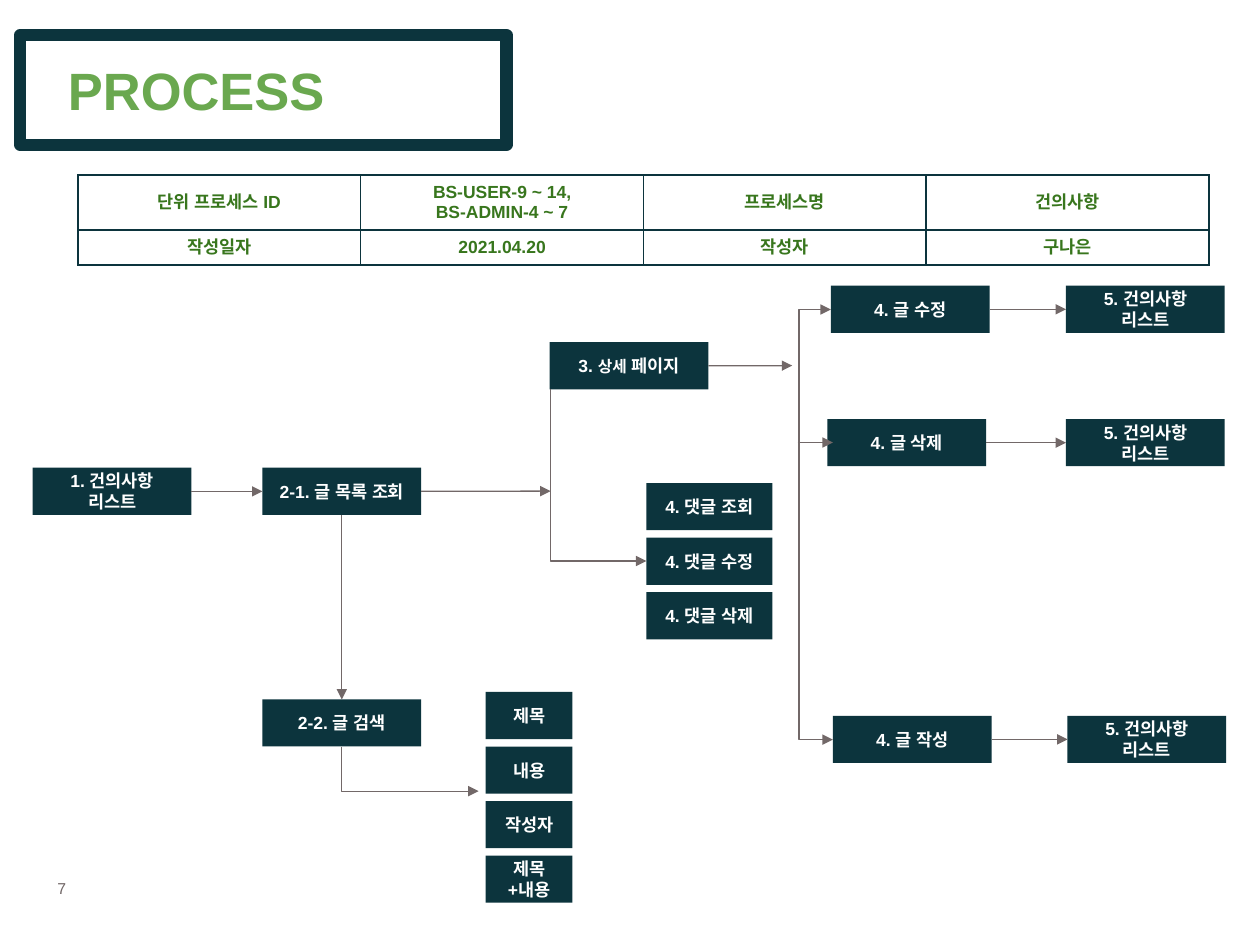
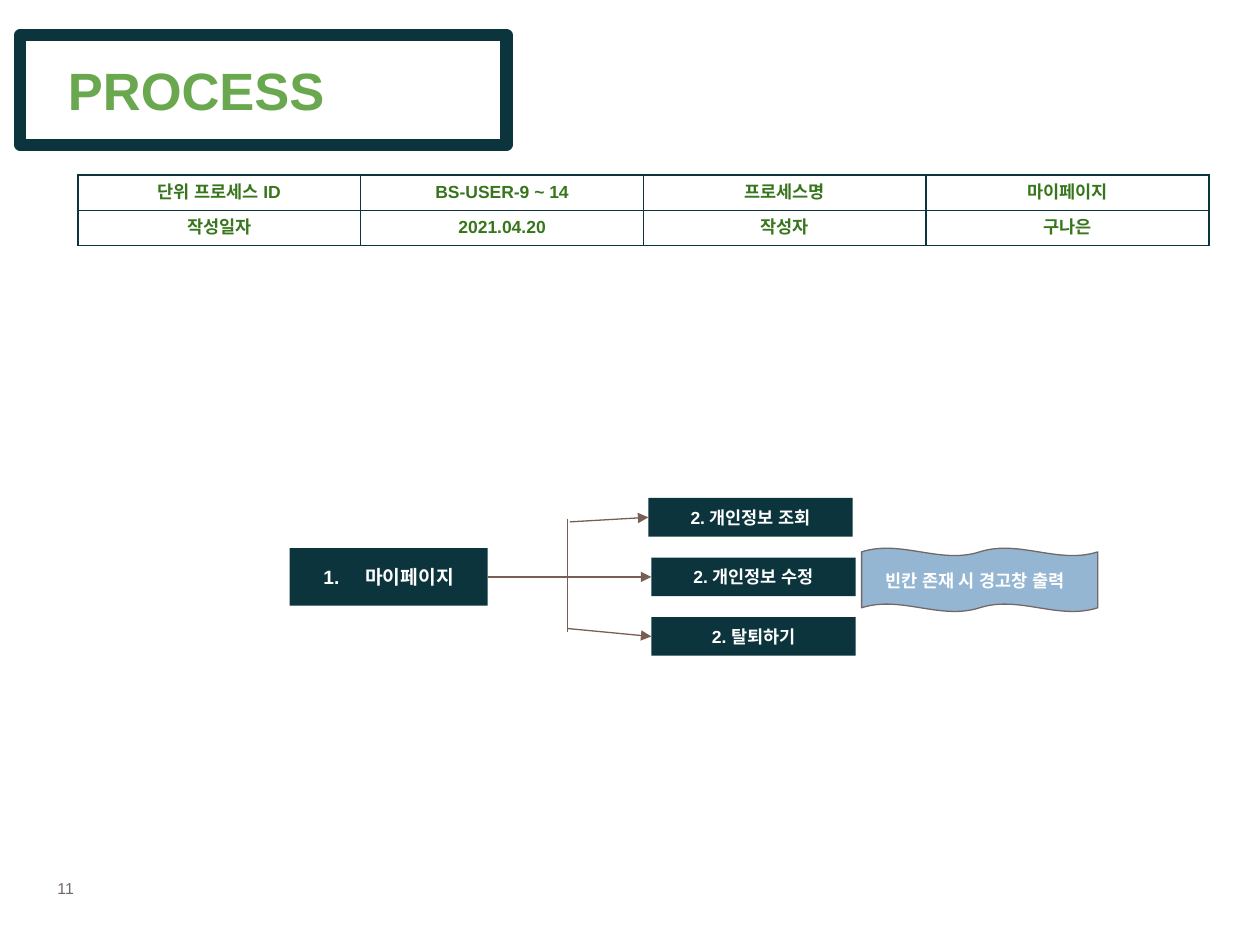
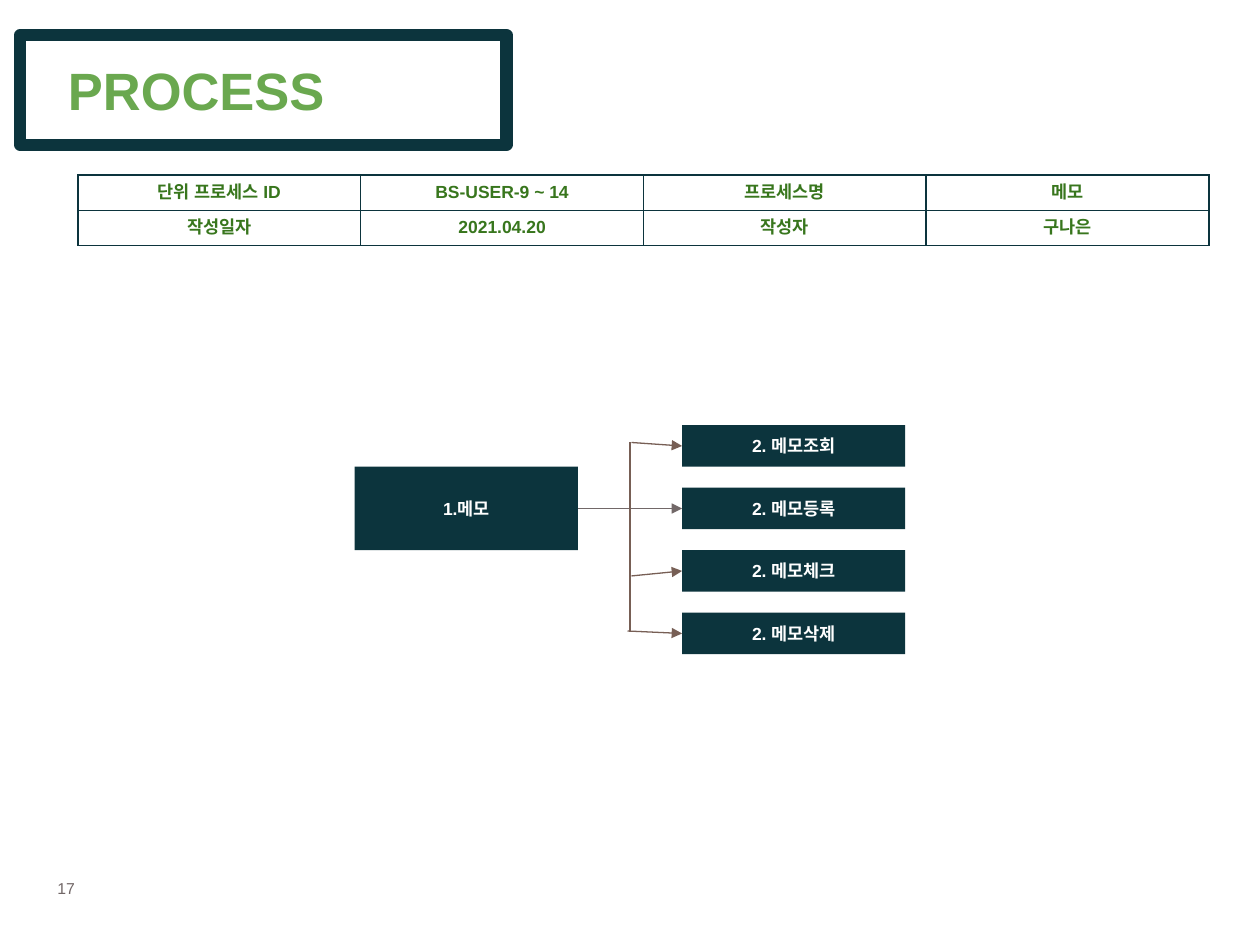
from dataclasses import dataclass
from typing import Optional, Union

from lxml import etree
from pptx import Presentation
from pptx import util as u
from pptx.dml.color import RGBColor
from pptx.enum import shapes, text
from pptx.oxml import ns

# Shared look
TEAL = RGBColor(0x0C, 0x34, 0x3D)
TITLE_GREEN = RGBColor(0x6A, 0xA8, 0x4F)
TABLE_GREEN = RGBColor(0x38, 0x76, 0x1D)
GRAY = RGBColor(0x72, 0x68, 0x68)
PAGE_GRAY = RGBColor(0x71, 0x67, 0x67)
BROWN = RGBColor(0x77, 0x5F, 0x55)
BLUE = RGBColor(0x94, 0xB6, 0xD2)
WHITE = RGBColor(0xFF, 0xFF, 0xFF)
FONT = "Arial"
CENTER = text.PP_ALIGN.CENTER
LEFT = text.PP_ALIGN.LEFT
MIDDLE = text.MSO_ANCHOR.MIDDLE
TOP_SIDE, LEFT_SIDE, BOTTOM_SIDE, RIGHT_SIDE = range(4)

STEP_W, STEP_H = 3.2, 0.95
Point = tuple[float, float]


@dataclass
class Style:
    size: float
    color: RGBColor
    bold: bool = True
    align: text.PP_ALIGN = CENTER


BOX_STYLE = Style(10, WHITE)
NOTE_STYLE = Style(10, WHITE, align=LEFT)
CELL_STYLE = Style(10, TABLE_GREEN)
TITLE_STYLE = Style(30, TITLE_GREEN, align=LEFT)
PAGE_STYLE = Style(9, PAGE_GRAY, bold=False, align=LEFT)
NUMBERED_STYLE = Style(11, WHITE, align=LEFT)


@dataclass
class Step:
    """A dark process box; lengths in centimetres."""
    key: str
    label: str
    x: float
    y: float
    w: float = STEP_W
    h: float = STEP_H
    small: str = ""  # part of the label set in 9 pt
    numbered: bool = False


@dataclass
class Link:
    """A straight line between boxes (by key) or free points."""
    start: Union[str, Point]
    end: Union[str, Point]
    color: RGBColor = GRAY
    sides: tuple[int, int] = (RIGHT_SIDE, LEFT_SIDE)
    arrow: bool = True


@dataclass
class Elbow:
    """Down then right, or a bracket on a vertical spine with two arrows."""
    start: Point
    end: Point
    spine: Optional[float] = None


@dataclass
class Page:
    number: str
    process_id: str
    name: str
    steps: list[Step]
    links: list[Link]


def write(tf, content: str, style: Style, small: str = "") -> None:
    tf.word_wrap = True
    for i, line in enumerate(content.split("\n")):
        p = tf.paragraphs[0] if i == 0 else tf.add_paragraph()
        p.alignment = style.align
        parts = line.partition(small) if small else (line,)
        for part in filter(None, parts):
            r = p.add_run()
            r.text = part
            size = 9 if part == small else style.size
            values = {"name": FONT, "size": u.Pt(size), "bold": style.bold}
            for attr, value in values.items():
                setattr(r.font, attr, value)
            r.font.color.rgb = style.color
            etree.SubElement(r._r.get_or_add_rPr(), ns.qn("a:ea"), typeface=FONT)


def number_list(p) -> None:
    pPr = p._p.get_or_add_pPr()
    pPr.set("marL", str(u.Cm(1.27)))
    pPr.set("indent", str(u.Cm(-0.84)))
    color = etree.SubElement(pPr, ns.qn("a:buClr"))
    etree.SubElement(color, ns.qn("a:srgbClr"), val=str(WHITE))
    etree.SubElement(pPr, ns.qn("a:buFont"), typeface=FONT)
    etree.SubElement(pPr, ns.qn("a:buAutoNum"), type="arabicPeriod")


def add_text(s, content: str, box: tuple, style: Style, anchor=None) -> None:
    tf = s.shapes.add_textbox(*map(u.Cm, box)).text_frame
    if anchor is not None:
        tf.vertical_anchor = anchor
    write(tf, content, style)


def add_step(s, step: Step):
    sp = s.shapes.add_shape(shapes.MSO_SHAPE.RECTANGLE,
                            *map(u.Cm, (step.x, step.y, step.w, step.h)))
    sp.shadow.inherit = False
    sp.fill.solid()
    sp.fill.fore_color.rgb = TEAL
    sp.line.fill.background()
    tf = sp.text_frame
    tf.vertical_anchor = MIDDLE
    if step.numbered:
        number_list(tf.paragraphs[0])
    write(tf, step.label, NUMBERED_STYLE if step.numbered else BOX_STYLE, step.small)
    return sp


def style_line(cx, color: RGBColor, ends: tuple[str, ...]) -> None:
    cx.line.color.rgb = color
    cx.line.width = u.Pt(0.75)
    ln = cx.line._get_or_add_ln()
    for end in ends:
        etree.SubElement(ln, ns.qn(f"a:{end}"), type="triangle")
    etree.SubElement(cx._element.spPr, ns.qn("a:effectLst"))


def add_link(s, link: Link, boxes: dict) -> None:
    points = [(0, 0) if isinstance(end, str) else end for end in (link.start, link.end)]
    cx = s.shapes.add_connector(shapes.MSO_CONNECTOR.STRAIGHT,
                                *(u.Cm(v) for point in points for v in point))
    joins = (cx.begin_connect, cx.end_connect)
    for end, join, side in zip((link.start, link.end), joins, link.sides):
        if isinstance(end, str):
            join(boxes[end], side)
    style_line(cx, link.color, ("tailEnd",) if link.arrow else ())


def add_elbow(s, elbow: Elbow) -> None:
    (x1, y1), (x2, y2) = elbow.start, elbow.end
    ends = (x1, y1, x2, y2)
    if elbow.spine is None:
        # The frame is turned a quarter, so width and height trade places
        mx, my = (x1 + x2) / 2, (y1 + y2) / 2
        dx, dy = (x2 - x1) / 2, (y2 - y1) / 2
        ends = (mx - dy, my - dx, mx + dy, my + dx)
    cx = s.shapes.add_connector(shapes.MSO_CONNECTOR.ELBOW, *map(u.Cm, ends))
    spPr = cx._element.spPr
    geom = spPr.find(ns.qn("a:prstGeom"))
    if elbow.spine is None:
        geom.set("prst", "bentConnector2")
        xfrm = spPr.find(ns.qn("a:xfrm"))
        xfrm.set("rot", str(270 * 60000))
        xfrm.set("flipH", "1")
        style_line(cx, GRAY, ("tailEnd",))
    else:
        bend = round((elbow.spine - x1) / (x2 - x1) * 100000)
        guides = geom.find(ns.qn("a:avLst"))
        if guides is None:
            guides = etree.SubElement(geom, ns.qn("a:avLst"))
        etree.SubElement(guides, ns.qn("a:gd"), name="adj1", fmla=f"val {bend}")
        style_line(cx, GRAY, ("headEnd", "tailEnd"))


def add_info_table(s, page: Page) -> None:
    rows = (("단위 프로세스 ID", page.process_id, "프로세스명", page.name),
            ("작성일자", "2021.04.20", "작성자", "구나은"))
    frame = s.shapes.add_table(2, 4, *map(u.Cm, (1.57, 3.53, 22.8, 1.42)))
    table = frame.table
    for flag in ("first_row", "horz_banding"):
        setattr(table, flag, False)
    for col in table.columns:
        col.width = u.Cm(5.7)
    for row, values in zip(table.rows, rows):
        row.height = u.Cm(0.71)
        for cell, value in zip(row.cells, values):
            write(cell.text_frame, value, CELL_STYLE)
            cell.vertical_anchor = MIDDLE
            tcPr = cell._tc.get_or_add_tcPr()
            for side in "LRTB":
                ln = etree.SubElement(tcPr, ns.qn(f"a:ln{side}"), w=str(u.Pt(1)))
                fill = etree.SubElement(ln, ns.qn("a:solidFill"))
                etree.SubElement(fill, ns.qn("a:srgbClr"), val=str(TEAL))
            cell.fill.background()


def add_page(prs, page: Page):
    s = prs.slides.add_slide(prs.slide_layouts[6])
    add_text(s, page.number, (0.91, 17.6, 1.32, 0.64), PAGE_STYLE)
    # Framed title
    sp = s.shapes.add_shape(shapes.MSO_SHAPE.RECTANGLE,
                            *map(u.Cm, (0.41, 0.71, 9.8, 2.21)))
    sp.shadow.inherit = False
    sp.fill.background()
    sp.line.color.rgb = TEAL
    sp.line.width = u.Pt(7)
    add_text(s, "PROCESS", (1.12, 0.2, 18.21, 3.2), TITLE_STYLE, MIDDLE)
    add_info_table(s, page)
    # Flow
    boxes = {step.key: add_step(s, step) for step in page.steps}
    for link in page.links:
        add_link(s, link, boxes)
    return s


def column(labels: dict[str, str], x: float, y: float, pitch: float,
           w: float, h: float = STEP_H) -> list[Step]:
    return [Step(key, label, x, round(y + i * pitch, 2), w, h)
            for i, (key, label) in enumerate(labels.items())]


def suggestions(prs) -> None:
    steps = [
        Step("list", "1. 건의사항\n리스트", 0.66, 9.43),
        Step("lookup", "2-1. 글 목록 조회", 5.29, 9.43),
        Step("search", "2-2. 글 검색", 5.29, 14.1),
        Step("detail", "3. 상세 페이지", 11.08, 6.9, small="상세"),
        *column({"title": "제목", "body": "내용", "author": "작성자",
                 "both": "제목+내용"}, 9.79, 13.95, 1.1, 1.75),
        *column({"view": "4. 댓글 조회", "change": "4. 댓글 수정",
                 "remove": "4. 댓글 삭제"}, 13.03, 9.74, 1.1, 2.54),
    ]
    links = [
        Link("list", "lookup"),
        Link("lookup", (11.1, 9.9)),
        Link("lookup", "search", sides=(BOTTOM_SIDE, TOP_SIDE)),
        Link("detail", (15.97, 7.37)),
        Link((16.08, 8.92), (16.79, 8.92)),
    ]
    # Each action leads back to the list
    for key, label, x, result_x, y in (("edit", "4. 글 수정", 16.75, 21.49, 5.76),
                                       ("delete", "4. 글 삭제", 16.68, 21.49, 8.45),
                                       ("write", "4. 글 작성", 16.79, 21.52, 14.43)):
        result = f"{key}_result"
        steps += [Step(key, label, x, y), Step(result, "5. 건의사항 리스트", result_x, y)]
        links.append(Link(key, result))
    s = add_page(prs, Page("7", "BS-USER-9 ~ 14,\nBS-ADMIN-4 ~ 7", "건의사항", steps, links))
    for elbow in (Elbow((6.89, 15.05), (9.65, 15.95)),
                  Elbow((11.1, 7.85), (13.03, 11.31)),
                  Elbow((16.75, 6.24), (16.79, 14.91), spine=16.11)):
        add_elbow(s, elbow)


def my_page(prs) -> None:
    steps = [
        Step("my_page", "마이페이지", 5.84, 11.05, 3.99, 1.16, numbered=True),
        Step("view", "2. 개인정보 조회", 13.07, 10.04, 4.12, 0.78),
        *column({"edit": "2. 개인정보 수정", "leave": "2. 탈퇴하기"},
                13.13, 11.24, 1.2, 4.12, 0.78),
    ]
    links = [
        Link("my_page", "edit", BROWN),
        Link((11.44, 10.46), (11.44, 12.75), BROWN, arrow=False),
        Link((11.49, 10.52), "view", BROWN),
        Link((11.44, 12.67), "leave", BROWN),
    ]
    s = add_page(prs, Page("11", "BS-USER-9 ~ 14", "마이페이지", steps, links))
    # Warning flag
    sp = s.shapes.add_shape(shapes.MSO_SHAPE.DOUBLE_WAVE,
                            *map(u.Cm, (17.37, 11.05, 4.76, 1.28)))
    sp.adjustments[0], sp.adjustments[1] = 0.06, 0
    sp.shadow.inherit = False
    sp.fill.solid()
    sp.fill.fore_color.rgb = BLUE
    sp.line.color.rgb = GRAY
    sp.line.width = u.Pt(0.75)
    add_text(s, "빈칸 존재 시 경고창 출력", (17.6, 11.36, 4.85, 0.69), NOTE_STYLE)


def memo(prs) -> None:
    steps = [
        Step("memo", "1.메모", 7.15, 9.41, 4.5, 1.68),
        *column({"view": "2. 메모조회", "add": "2. 메모등록", "check": "2. 메모체크",
                 "delete": "2. 메모삭제"}, 13.75, 8.57, 1.26, 4.5, 0.84),
    ]
    links = [
        Link("memo", "add"),
        Link((12.7, 8.92), (12.7, 12.75), BROWN, arrow=False),
        Link((12.73, 8.92), "view", BROWN),
        Link((12.73, 11.61), "check", BROWN),
        Link((12.65, 12.72), "delete", BROWN),
    ]
    add_page(prs, Page("17", "BS-USER-9 ~ 14", "메모", steps, links))


def main() -> None:
    prs = Presentation()
    prs.slide_width, prs.slide_height = u.Cm(25.4), u.Cm(19.05)
    for build in (suggestions, my_page, memo):
        build(prs)
    prs.save("out.pptx")


if __name__ == "__main__":
    main()
